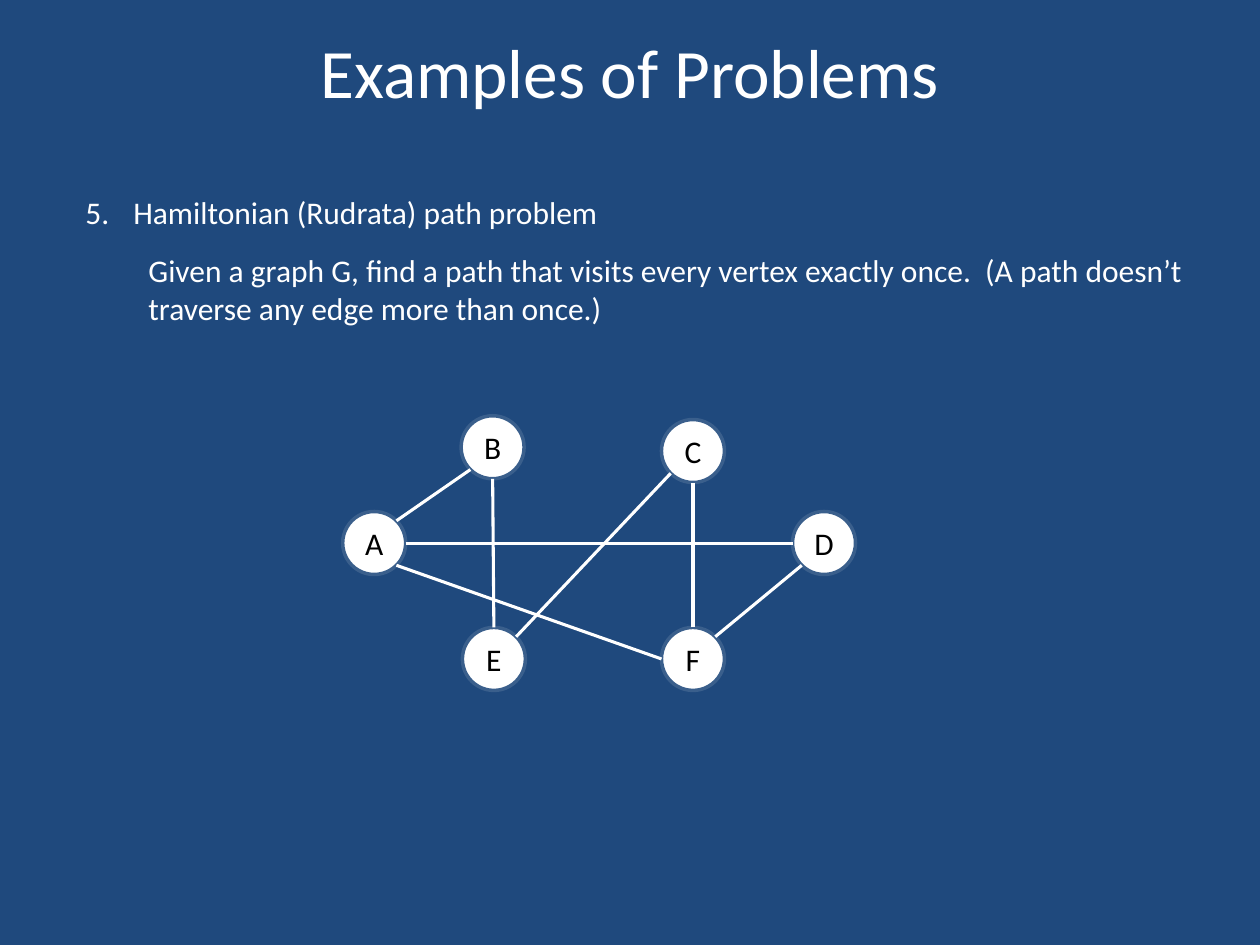
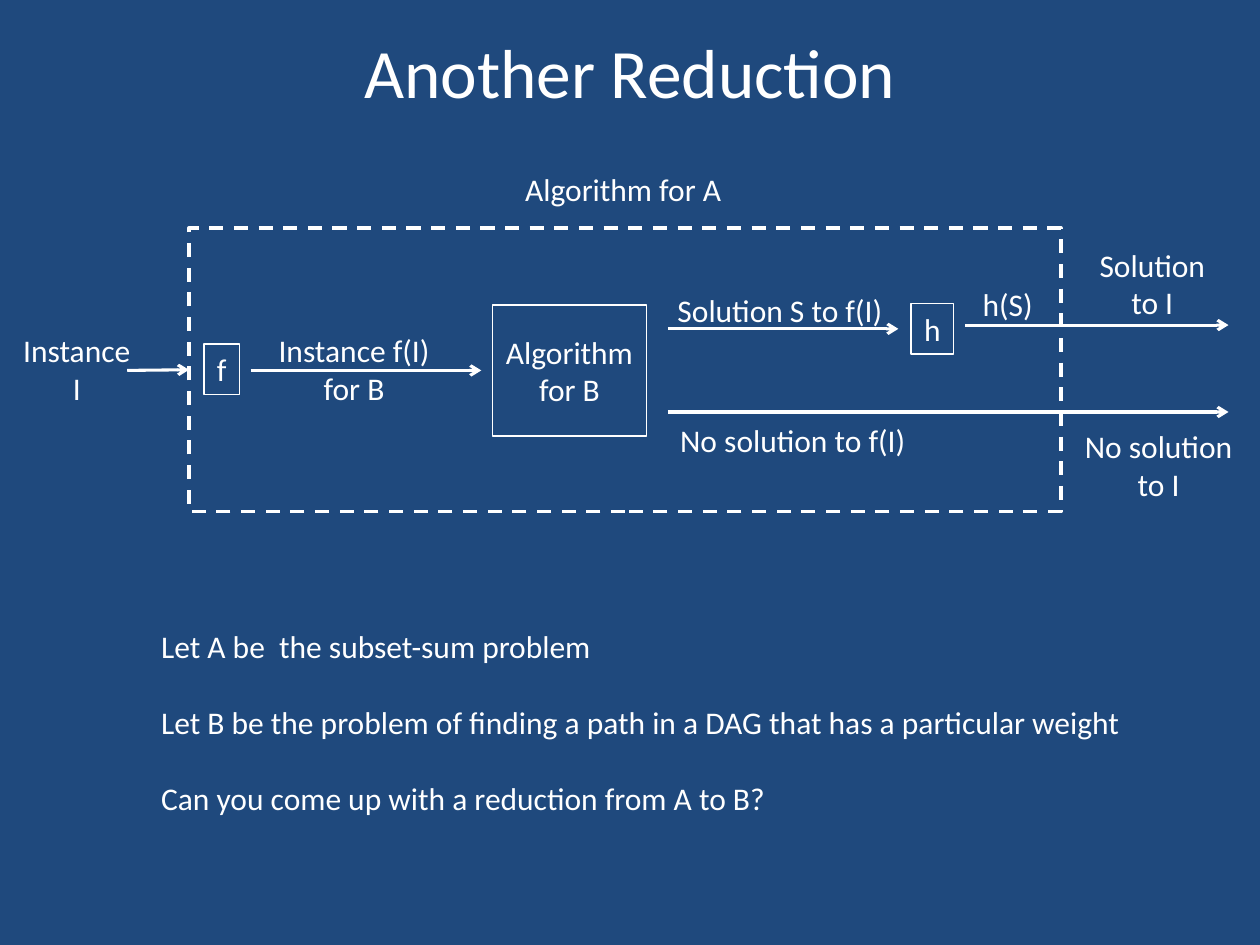
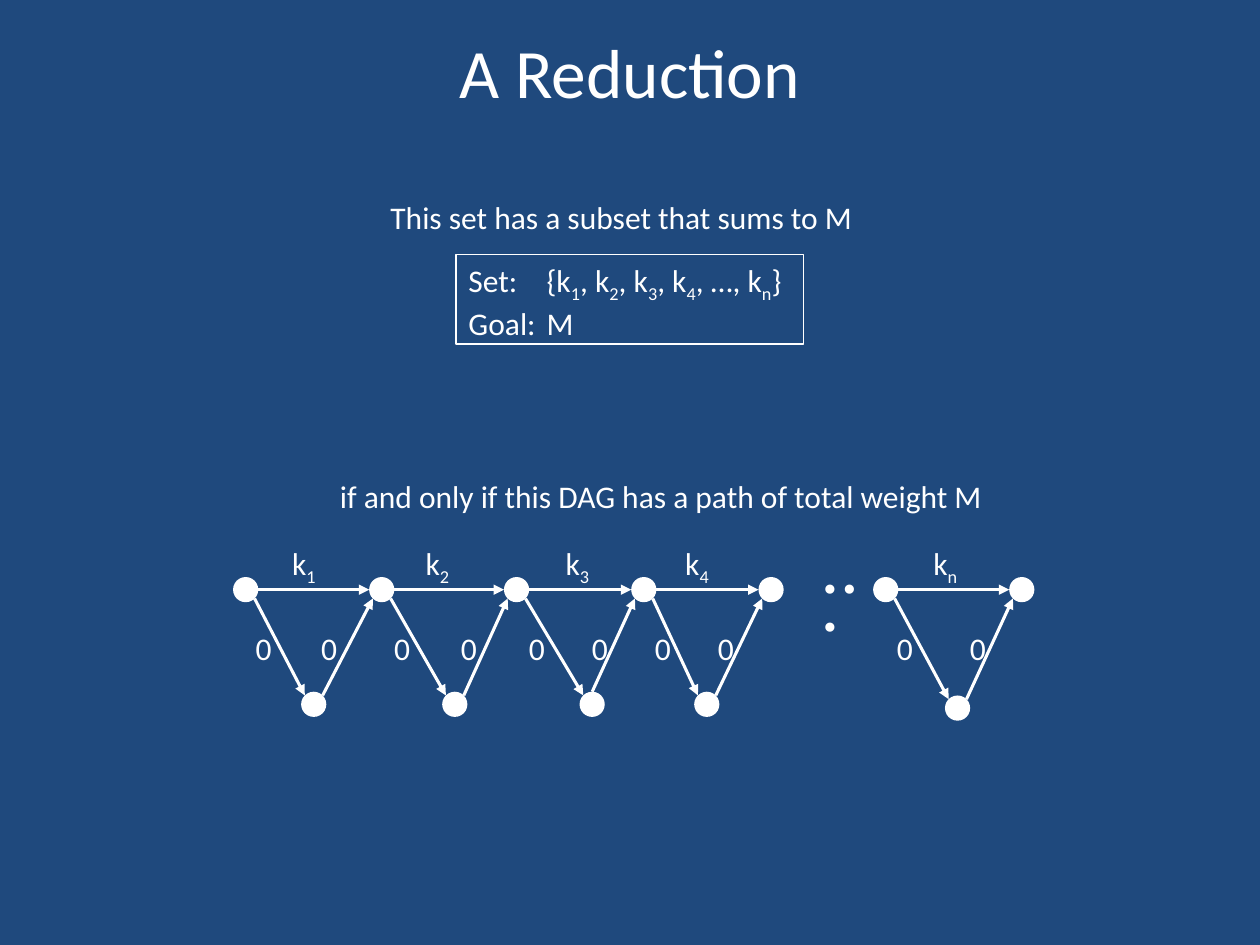
from dataclasses import dataclass
from math import sqrt

from lxml.etree import SubElement
from pptx import Presentation
from pptx.dml.color import RGBColor
from pptx.enum.dml import MSO_LINE
from pptx.enum.shapes import MSO_CONNECTOR, MSO_SHAPE
from pptx.enum.text import MSO_ANCHOR, PP_ALIGN
from pptx.oxml.ns import qn
from pptx.util import Inches, Pt


@dataclass(frozen=True)
class Theme:
    background: RGBColor = RGBColor(0x1F, 0x49, 0x7D)
    ink: RGBColor = RGBColor(0xFF, 0xFF, 0xFF)
    node_text: RGBColor = RGBColor(0, 0, 0)
    node_rim: RGBColor = RGBColor(0x3A, 0x5F, 0x8C)
    font: str = "Calibri"
    title_size: float = 39.6
    body_size: float = 18
    edge_width: float = 1.75
    box_width: float = 0.75
    frame_width: float = 2


@dataclass(frozen=True)
class Node:
    """A circle, with the points of its rim named by compass side."""
    x: float
    y: float
    radius: float

    def rim(self, side):
        dx = ("e" in side) - ("w" in side)
        dy = ("s" in side) - ("n" in side)
        reach = self.radius / sqrt(dx * dx + dy * dy)
        return self.x + dx * reach, self.y + dy * reach


class Deck:
    def __init__(self, theme):
        self.theme = theme
        self.prs = Presentation()
        self.prs.slide_width, self.prs.slide_height = Inches(10), Inches(7.5)
        self.slide = None

    def new_slide(self, title):
        self.slide = self.prs.slides.add_slide(self.prs.slide_layouts[6])
        fill = self.slide.background.fill
        fill.solid()
        fill.fore_color.rgb = self.theme.background
        self.text([title], 0.5, 0.17, 9, 0.78, align=PP_ALIGN.CENTER, wrap=True,
                  anchor=MSO_ANCHOR.MIDDLE, size=self.theme.title_size)

    def add_run(self, paragraph, text, size, color, subscript=False):
        run = paragraph.add_run()
        run.text = text
        run.font.name, run.font.size = self.theme.font, Pt(size)
        run.font.color.rgb = color
        if subscript:
            run._r.get_or_add_rPr().set("baseline", "-25000")

    def fill_frame(self, frame, paragraphs, align=PP_ALIGN.LEFT, anchor=MSO_ANCHOR.TOP,
                   wrap=False, size=None, color=None, gap=0):
        """Fill a frame; an underscore lowers the next character."""
        size, color = size or self.theme.body_size, color or self.theme.ink
        frame.word_wrap, frame.vertical_anchor = wrap, anchor
        for index, text in enumerate(paragraphs):
            paragraph = frame.add_paragraph() if index else frame.paragraphs[0]
            paragraph.alignment = align
            if index and gap:
                paragraph.space_before = Pt(gap)
            for number, line in enumerate(text.split("\n")):
                if number:
                    paragraph.add_line_break()
                first, *lowered = line.split("_")
                self.add_run(paragraph, first, size, color)
                for part in lowered:
                    self.add_run(paragraph, part[0], size, color, subscript=True)
                    if part[1:]:
                        self.add_run(paragraph, part[1:], size, color)

    def text(self, paragraphs, x, y, width, height=0.4, **style):
        box = self.slide.shapes.add_textbox(Inches(x), Inches(y), Inches(width), Inches(height))
        self.fill_frame(box.text_frame, paragraphs, **style)
        return box.text_frame.paragraphs

    def box(self, x, y, width, height, paragraphs=(), dashed=False, **style):
        rect = self.slide.shapes.add_shape(MSO_SHAPE.RECTANGLE, Inches(x), Inches(y),
                                           Inches(width), Inches(height))
        rect.shadow.inherit = False
        rect.fill.background()
        rect.line.color.rgb = self.theme.ink
        rect.line.width = Pt(self.theme.frame_width if dashed else self.theme.box_width)
        if dashed:
            rect.line.dash_style = MSO_LINE.DASH
        self.fill_frame(rect.text_frame, paragraphs, **style)
        return rect

    def node(self, node, label=None):
        size = Inches(2 * node.radius)
        circle = self.slide.shapes.add_shape(
            MSO_SHAPE.OVAL, Inches(node.x - node.radius), Inches(node.y - node.radius), size, size)
        circle.shadow.inherit = False
        circle.fill.solid()
        circle.fill.fore_color.rgb = self.theme.ink
        if label is None:
            circle.line.fill.background()
            return
        circle.line.color.rgb = self.theme.node_rim
        circle.line.width = Pt(self.theme.frame_width)
        frame = circle.text_frame
        frame.margin_left = frame.margin_right = frame.margin_top = frame.margin_bottom = 0
        self.fill_frame(frame, [label], align=PP_ALIGN.CENTER, anchor=MSO_ANCHOR.MIDDLE,
                        color=self.theme.node_text)

    def edge(self, start, end, head=None):
        line = self.slide.shapes.add_connector(
            MSO_CONNECTOR.STRAIGHT, *(Inches(value) for value in (*start, *end)))
        line.line.color.rgb = self.theme.ink
        line.line.width = Pt(self.theme.edge_width)
        if head:
            SubElement(line.line._get_or_add_ln(), qn("a:tailEnd"), type=head)
        SubElement(line._element.spPr, qn("a:effectLst"))
        return line


def indent(paragraph, left, first=0):
    properties = paragraph._p.get_or_add_pPr()
    properties.set("marL", str(Inches(left)))
    properties.set("indent", str(Inches(first)))
    return properties


def hamiltonian_path(deck):
    deck.new_slide("Examples of Problems")

    # Problem statement
    heading, statement = deck.text(
        ["Hamiltonian (Rudrata) path problem",
         "Given a graph G, find a path that visits every vertex exactly once.  "
         "(A path doesn’t traverse any edge more than once.)"],
        0.58, 1.48, 9, 4.51, wrap=True, gap=12)
    SubElement(indent(heading, 0.38, -0.38), qn("a:buAutoNum"),
               type="arabicPeriod", startAt="5")
    statement.level = 1
    indent(statement, 0.5)

    # Graph
    centres = {"B": (3.91, 3.55), "A": (2.97, 4.31), "E": (3.92, 5.23),
               "C": (5.5, 3.58), "F": (5.5, 5.23), "D": (6.54, 4.31)}
    vertices = {name: Node(x, y, 0.25) for name, (x, y) in centres.items()}
    for name, vertex in vertices.items():
        deck.node(vertex, name)
    for start, start_side, end, end_side in (
            ("E", "ne", "C", "sw"), ("F", "n", "C", "s"), ("F", "ne", "D", "sw"),
            ("A", "e", "D", "w"), ("A", "ne", "B", "sw"), ("A", "se", "F", "w"),
            ("E", "n", "B", "s")):
        deck.edge(vertices[start].rim(start_side), vertices[end].rim(end_side))


def reduction_scheme(deck):
    deck.new_slide("Another Reduction")
    centre = PP_ALIGN.CENTER

    # Algorithm A and the steps inside it
    deck.box(3.91, 2.42, 1.22, 1.04, ["Algorithm\nfor B"], align=centre,
             anchor=MSO_ANCHOR.MIDDLE)
    deck.box(1.62, 2.73, 0.28, 0.4, ["f"], align=centre)
    deck.box(7.23, 2.41, 0.34, 0.4, ["h"], align=centre)
    algorithm_a = deck.box(1.5, 1.81, 6.92, 2.25, dashed=True)

    # Flow from instance to solution
    input_y, solution_y, failure_y, exit_x = 2.94, 2.58, 3.27, 8.42
    instance_arrow = deck.edge((1.01, input_y), (1.5, input_y), "arrow")
    instance_arrow.end_connect(algorithm_a, 1)
    deck.edge((1.99, input_y), (3.82, input_y), "arrow")
    deck.edge((5.3, 2.61), (7.13, 2.61), "arrow")
    for start_x, y in ((7.66, solution_y), (5.3, failure_y)):
        deck.edge((start_x, y), (exit_x, y))
        deck.edge((exit_x, y), (9.75, y), "arrow")

    # Labels
    for lines, x, y, width, wrap in (
            (["Instance f(I)", "for B"], 1.92, 2.58, 1.78, True),
            (["Solution S to f(I)"], 5.24, 2.26, 1.9, True),
            (["Instance", "I"], 0.08, 2.58, 1.06, False),
            (["Solution", "to I"], 8.62, 1.9, 1.05, False),
            (["No solution\nto I"], 8.5, 3.34, 1.39, False)):
        deck.text(lines, x, y, width, 0.71, align=centre, wrap=wrap)
    for label, x, y, width in (("Algorithm for A", 4.07, 1.3, 1.77),
                               ("No solution to f(I)", 5.3, 3.29, 2.01),
                               ("h(S)", 7.7, 2.21, 0.61)):
        deck.text([label], x, y, width)

    # Question
    deck.text(["Let A be  the subset-sum problem",
               "Let B be the problem of finding a path in a DAG that has a particular weight",
               "Can you come up with a reduction from A to B?"],
              1.18, 4.93, 7.91, 1.62, gap=21.6)


def subset_sum_dag(deck):
    deck.new_slide("A Reduction")

    # Subset-sum instance
    deck.text(["This set has a subset that sums to M"], 3, 1.52, 3.91)
    instance = deck.box(3.62, 2.02, 2.76, 0.71,
                        ["Set:\t{k_1, k_2, k_3, k_4, …, k_n}", "Goal:\tM"])
    for paragraph in instance.text_frame.paragraphs:
        tabs = SubElement(paragraph._p.get_or_add_pPr(), qn("a:tabLst"))
        SubElement(tabs, qn("a:tab"), pos=str(Inches(0.62)), algn="l")
    deck.text(["if and only if this DAG has a path of total weight M"], 2.6, 3.74, 5.36)

    # Upper vertices
    upper = [Node(x, 4.68, 0.1) for x in (1.95, 3.03, 4.1, 5.11, 6.12, 7.03, 8.11)]
    for vertex in upper:
        deck.node(vertex)

    # One triangle per number: take it along the top, or skip it at weight 0
    for number, first, lower_x, lower_y, exit_side, number_x, zeros_x in (
            ("1", 0, 2.49, 5.59, "ne", 2.22, (1.93, 2.45)),
            ("2", 1, 3.61, 5.59, "ne", 3.28, (3.03, 3.56)),
            ("3", 2, 4.7, 5.59, "n", 4.39, (4.1, 4.6)),
            ("4", 3, 5.61, 5.59, "ne", 5.34, (5.1, 5.6)),
            ("n", 5, 7.6, 5.62, "ne", 7.31, (7.02, 7.6))):
        left, right = upper[first:first + 2]
        lower = Node(lower_x, lower_y, 0.1)
        deck.node(lower)
        deck.edge(left.rim("e"), right.rim("w"), "triangle")
        deck.edge(left.rim("se"), lower.rim("nw"), "triangle")
        deck.edge(lower.rim(exit_side), right.rim("sw"), "triangle")
        deck.text([f"k_{number}"], number_x, 4.27, 0.4)
        for zero_x in zeros_x:
            deck.text(["0"], zero_x, 4.94, 0.33)
    deck.text(["∙∙∙"], 6.41, 4.46, 0.51, wrap=True)


def main():
    deck = Deck(Theme())
    hamiltonian_path(deck)
    reduction_scheme(deck)
    subset_sum_dag(deck)
    deck.prs.save("out.pptx")


if __name__ == "__main__":
    main()
